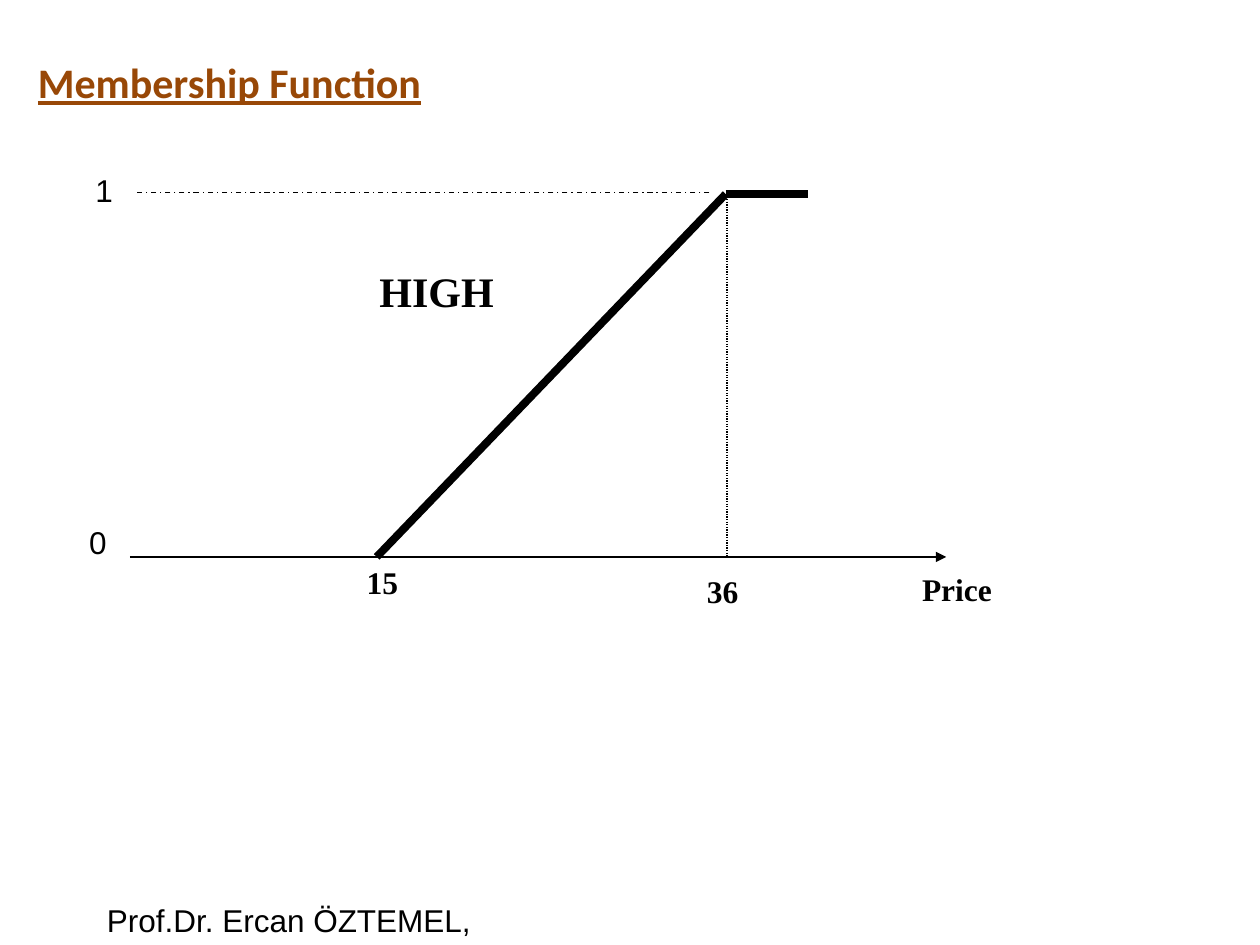
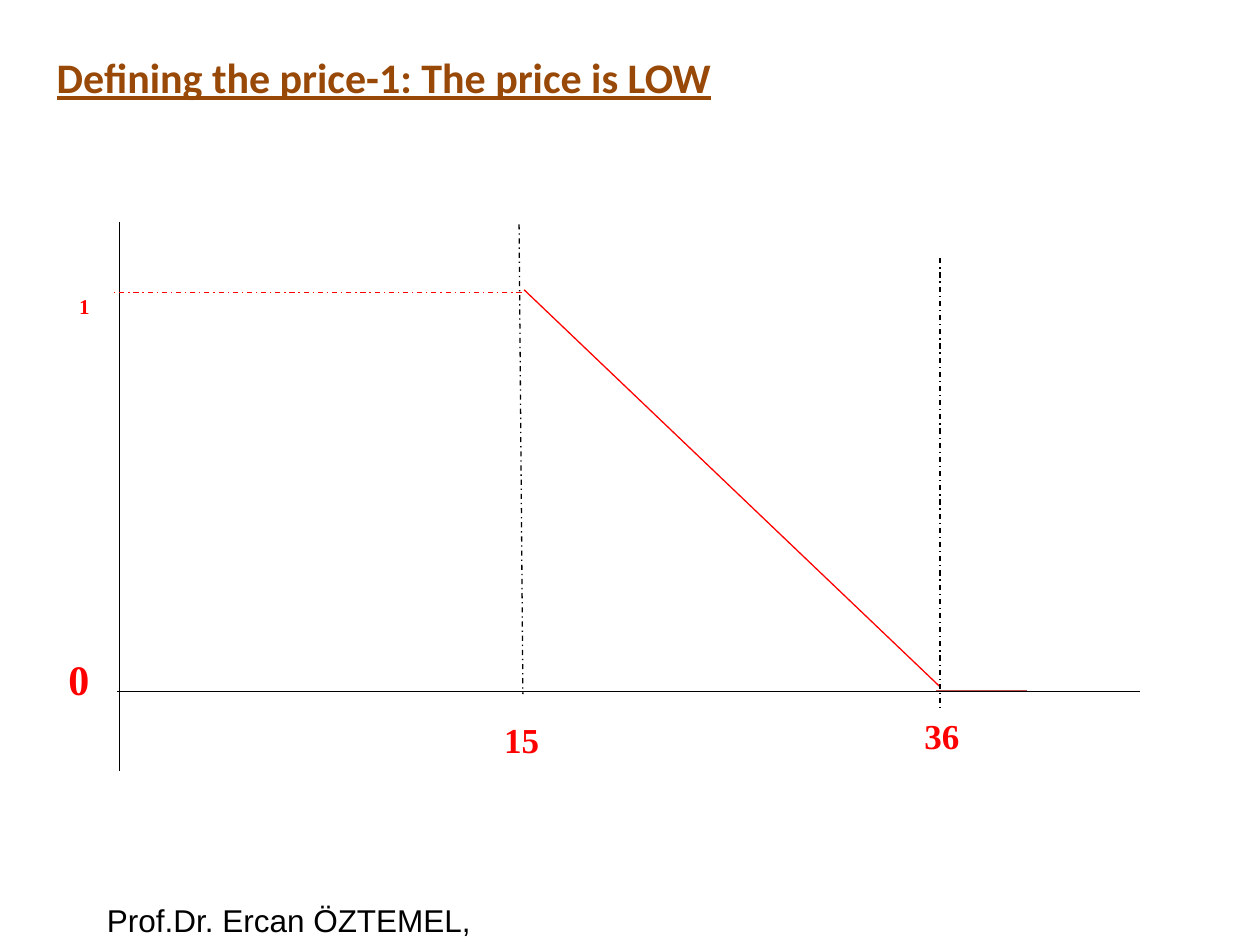
from lxml import etree
from pptx import Presentation
from pptx.dml.color import RGBColor
from pptx.enum.dml import MSO_LINE_DASH_STYLE as Dash
from pptx.enum.shapes import MSO_CONNECTOR as Connector
from pptx.enum.text import MSO_ANCHOR as Anchor, MSO_AUTO_SIZE as AutoSize, PP_ALIGN as Align
from pptx.oxml.ns import qn
from pptx.util import Inches, Pt

BLACK, RED, BROWN, ACCENT = "000000", "FF0000", "984807", "C0504D"
TITLE_FONT = dict(name="Calibri", size=Pt(24), bold=True, underline=True)
PLAIN_FONT = dict(name="Arial", size=Pt(18))
LABEL_FONT = dict(name="Times New Roman", size=Pt(18), bold=True)


def rgb(value):
    return RGBColor.from_string(value)


def write(box, text, style, color=BLACK, align=Align.LEFT, wrap=False, spacing=None):
    frame = box.text_frame
    settings = dict(word_wrap=wrap, auto_size=AutoSize.SHAPE_TO_FIT_TEXT,
                    vertical_anchor=Anchor.TOP)
    for name, value in settings.items():
        setattr(frame, name, value)
    para = frame.paragraphs[0]
    para.alignment, para.line_spacing = align, spacing
    span = para.add_run()
    span.text = text
    for name, value in style.items():
        setattr(span.font, name, value)
    span.font.color.rgb = rgb(color)


def add_label(page, text, left, top, width, height, style=LABEL_FONT, **options):
    box = page.shapes.add_textbox(*map(Inches, (left, top, width, height)))
    write(box, text, style, **options)


def add_line(page, start, end, color=BLACK, width=0.75, dash=None, arrow=False):
    line = page.shapes.add_connector(Connector.STRAIGHT, *map(Inches, (*start, *end)))
    line.line.color.rgb = rgb(color)
    line.line.width = Pt(width)
    if dash:
        line.line.dash_style = dash
    if arrow:
        etree.SubElement(line.line._get_or_add_ln(), qn("a:tailEnd"), type="triangle")
    etree.SubElement(line._element.spPr, qn("a:effectLst"))


def add_page(deck, title, left, top, width):
    """Add a slide with the shared title style and author footer."""
    page = deck.slides.add_slide(deck.slide_layouts[5])
    heading = page.shapes.title
    bounds = dict(left=left, top=top, width=width, height=0.51)
    for name, value in bounds.items():
        setattr(heading, name, Inches(value))
    write(heading, title, TITLE_FONT, BROWN, wrap=True)
    add_label(page, "Prof.Dr. Ercan ÖZTEMEL,", 0.75, 7.1, 3.19, 0.4, PLAIN_FONT)
    return page


def draw_high_price(page, left, top, width, height):
    """Draw the rising curve; the box spans membership 1 down to the price axis."""
    right, base = left + width, top + height
    low_x, high_x = left + 1.96, left + 4.73
    centred = dict(align=Align.CENTER)
    add_line(page, (left + 0.95, base), (low_x, base), ACCENT)
    add_line(page, (low_x, base), (high_x, top), width=4.5)
    add_line(page, (high_x, top), (high_x + 0.65, top), width=4.5)
    add_label(page, "HIGH", left + 1.09, top + 0.63, 2.69, 0.39,
              {**LABEL_FONT, "size": Pt(24)}, wrap=True, spacing=0.7, **centred)
    add_line(page, (left, base), (right, base), arrow=True)
    add_line(page, (high_x + 0.01, top), (high_x + 0.01, base), dash=Dash.ROUND_DOT)
    add_label(page, "36", high_x - 0.25, base + 0.07, 0.45, 0.4, **centred)
    add_label(page, "Price", right - 1.26, base + 0.14, 2.69, 0.32,
              wrap=True, spacing=0.7, **centred)
    add_label(page, "15", low_x - 0.18, base, 0.45, 0.4, **centred)
    add_label(page, "1", left - 0.37, top - 0.23, 0.34, 0.37, PLAIN_FONT)
    add_label(page, "0", left - 0.42, base - 0.32, 0.34, 0.37, PLAIN_FONT)
    add_line(page, (high_x - 0.13, top - 0.01), (left + 0.06, top - 0.01),
             dash=Dash.DASH_DOT)


def draw_low_price(page, left, top, width, height):
    """Draw the falling curve; the box spans the vertical and horizontal axes."""
    bottom = top + height
    base, one_y = bottom - 0.63, top + 0.56
    low_x, high_x = left + 3.2, left + 6.51
    add_line(page, (high_x, base - 0.04), (low_x + 0.01, one_y - 0.02), RED)
    add_line(page, (high_x - 0.03, base - 0.01), (high_x + 0.69, base - 0.01), ACCENT)
    labels = [("1", left - 0.42, one_y - 0.04, 0.28, 0.3, 12),
              ("0", left - 0.51, base - 0.35, 0.37, 0.5, 24),
              ("15", low_x - 0.25, base + 0.16, 0.48, 0.43, 20),
              ("36", high_x - 0.28, base + 0.13, 0.59, 0.43, 20)]
    for *place, size in labels:
        add_label(page, *place, {**LABEL_FONT, "size": Pt(size)},
                  color=RED, align=Align.CENTER)
    add_line(page, (left, top), (left, bottom))
    add_line(page, (left - 0.02, base), (left + width, base))
    add_line(page, (low_x - 0.01, one_y), (left - 0.05, one_y), RED, dash=Dash.DASH_DOT)
    add_line(page, (low_x - 0.03, top + 0.02), (low_x, base + 0.02), dash=Dash.DASH_DOT)
    add_line(page, (high_x, top + 0.29), (high_x, base + 0.16), dash=Dash.DASH_DOT)


def main():
    deck = Presentation()
    deck.slide_width, deck.slide_height = Inches(10), Inches(7.5)
    page = add_page(deck, "Membership Function", 0.2, 0.4, 4.58)
    draw_high_price(page, 1.03, 1.54, 6.48, 2.88)
    page = add_page(deck, "Defining the price-1: The price is LOW", 0.35, 0.36, 6.82)
    draw_low_price(page, 0.95, 1.76, 8.1, 4.36)
    deck.save("out.pptx")


if __name__ == "__main__":
    main()
